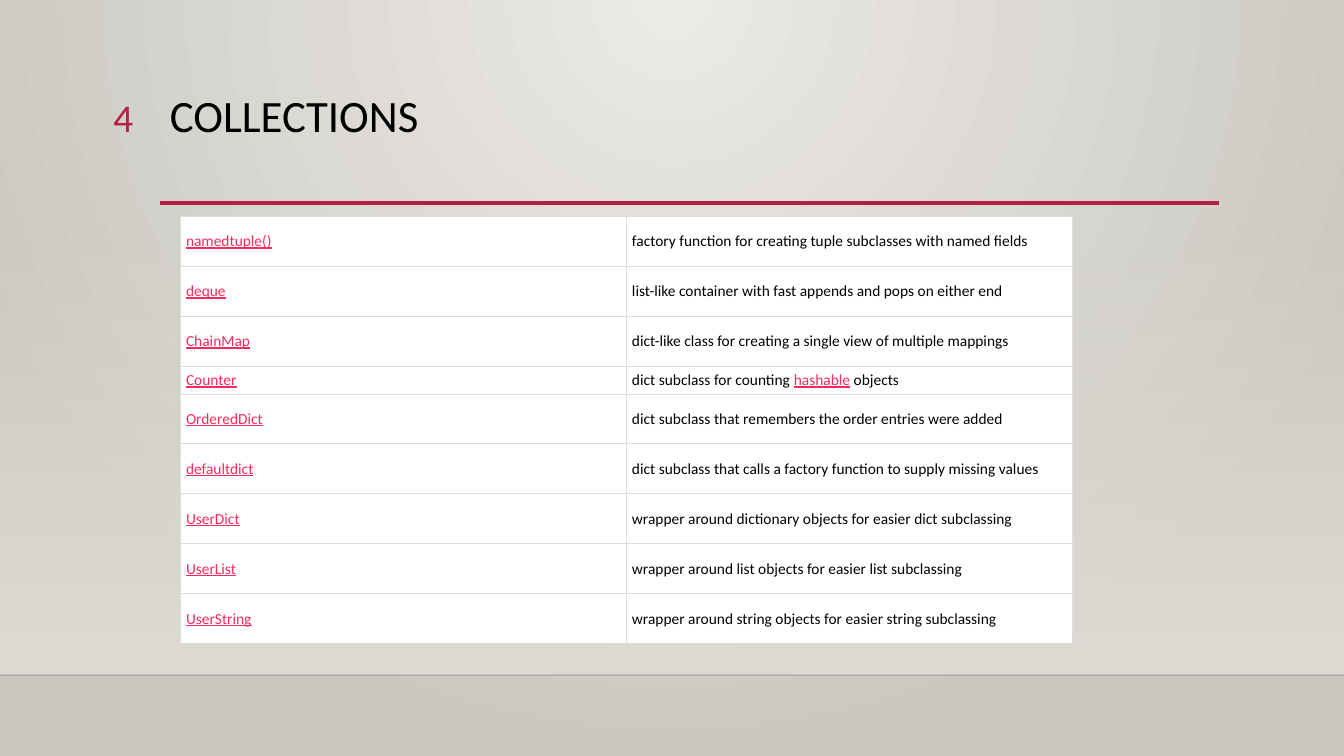
from lxml import etree
from pptx import Presentation
from pptx import util as u
from pptx.dml.color import RGBColor
from pptx.enum import shapes, text
from pptx.oxml import parse_xml
from pptx.oxml.ns import nsdecls, qn

TITLE = "COLLECTIONS"
NUMBER = "4"
ROWS = [
    ("namedtuple()", "factory function for creating tuple subclasses with named fields"),
    ("deque", "list-like container with fast appends and pops on either end"),
    ("ChainMap", "dict-like class for creating a single view of multiple mappings"),
    ("Counter", "dict subclass for counting\u00a0|hashable|\u00a0objects"),
    ("OrderedDict", "dict subclass that remembers the order entries were added"),
    ("defaultdict", "dict subclass that calls a factory function to supply missing values"),
    ("UserDict", "wrapper around dictionary objects for easier dict subclassing"),
    ("UserList", "wrapper around list objects for easier list subclassing"),
    ("UserString", "wrapper around string objects for easier string subclassing"),
]

BLACK = RGBColor(0x00, 0x00, 0x00)
WHITE = RGBColor(0xFF, 0xFF, 0xFF)
CRIMSON = RGBColor(0xB7, 0x1E, 0x42)
LINK = RGBColor(0xFA, 0x2B, 0x5C)
GRID = RGBColor(0xDD, 0xDD, 0xDD)
SAND = RGBColor(0xDF, 0xDB, 0xD5)
GLOW = RGBColor(0xEC, 0xEA, 0xE7)
STONE = RGBColor(0xCA, 0xC7, 0xC1)

PIXELS_PER_INCH = 100.8
WIDTH, HEIGHT = 1344, 756
WALL_TOP, FLOOR = 223, 675
ROW_HEIGHT, SHORT_ROW = 50, 28
COLUMN_WIDTH = 446
PLAIN = {"size": u.Pt(11), "color": BLACK, "underline": False}
LINKED = {**PLAIN, "color": LINK, "underline": True}
CELL_FORMAT = {"margin_left": 6, "margin_right": 6, "margin_top": 3, "margin_bottom": 3}
RADIAL = '<a:path path="circle"><a:fillToRect l="43000" r="43000" b="100000"/></a:path>'
DOWNWARD = '<a:lin ang="5400000" scaled="0"/>'


def px(value):
    return u.Inches(value / PIXELS_PER_INCH)


def gradient(first, last, direction, alpha=100):
    return parse_xml(
        f'<a:gradFill {nsdecls("a")} rotWithShape="1"><a:gsLst>'
        f'<a:gs pos="0"><a:srgbClr val="{first}"><a:alpha val="{alpha * 1000}"/></a:srgbClr></a:gs>'
        f'<a:gs pos="100000"><a:srgbClr val="{last}"/></a:gs>'
        f'</a:gsLst>{direction}</a:gradFill>')


def add_span(para, words, style):
    span = para.add_run()
    span.text = words
    span.font.name = "Calibri"
    for name, value in style.items():
        if name == "color":
            span.font.color.rgb = value
        else:
            setattr(span.font, name, value)


def add_text(page, bounds, words, style, **layout):
    box = page.shapes.add_textbox(*map(px, bounds))
    box.text_frame.word_wrap = True
    para = box.text_frame.paragraphs[0]
    for name, value in layout.items():
        setattr(para, name, value)
    add_span(para, words, style)


def add_rule(page, left, right, top, color, width, alpha=100):
    rule = page.shapes.add_connector(
        shapes.MSO_CONNECTOR.STRAIGHT, px(left), px(top), px(right), px(top))
    rule.line.color.rgb = color
    rule.line.width = u.Pt(width)
    paint = rule._element.spPr.find(".//" + qn("a:srgbClr"))
    etree.SubElement(paint, qn("a:alpha")).set("val", str(alpha * 1000))
    etree.SubElement(rule._element.spPr, qn("a:effectLst"))


def add_borders(cell):
    for position, side in enumerate(("lnL", "lnR", "lnT", "lnB")):
        border = parse_xml(
            f'<a:{side} {nsdecls("a")} w="{u.Pt(0.6)}"><a:solidFill>'
            f'<a:srgbClr val="{GRID}"/></a:solidFill></a:{side}>')
        cell._tc.get_or_add_tcPr().insert(position, border)


def fill_cell(cell, words, first_style, second_style):
    cell.fill.solid()
    cell.fill.fore_color.rgb = WHITE
    cell.vertical_anchor = text.MSO_ANCHOR.MIDDLE
    for name, value in CELL_FORMAT.items():
        setattr(cell, name, px(value))
    para = cell.text_frame.paragraphs[0]
    for index, part in enumerate(words.split("|")):
        add_span(para, part, second_style if index % 2 else first_style)
    add_borders(cell)


deck = Presentation()
deck.slide_width, deck.slide_height = px(WIDTH), px(HEIGHT)
page = deck.slides.add_slide(deck.slide_layouts[6])

page.background.fill.solid()
backdrop = page._element.find(".//" + qn("p:bgPr"))
backdrop.replace(backdrop.find(qn("a:solidFill")), gradient(GLOW, STONE, RADIAL))

wall = page.shapes.add_shape(
    shapes.MSO_SHAPE.RECTANGLE, px(0), px(WALL_TOP), px(WIDTH), px(FLOOR - WALL_TOP))
wall.shadow.inherit = False
wall.line.fill.background()
wall.fill.solid()
wall_format = wall._element.spPr
wall_format.replace(wall_format.find(qn("a:solidFill")), gradient(SAND, SAND, DOWNWARD, 0))

add_rule(page, 0, WIDTH, FLOOR, BLACK, 1, 20)
add_rule(page, 160, 1219, 203, CRIMSON, 2.5)
add_text(page, (160, 89, 1058, 116), TITLE,
         {"size": u.Pt(32), "color": BLACK}, line_spacing=0.9)

heights = [SHORT_ROW if name == "Counter" else ROW_HEIGHT for name, _ in ROWS]
frame = page.shapes.add_table(
    len(ROWS), 2, px(180), px(216), px(2 * COLUMN_WIDTH), px(sum(heights)))
table = frame.table
table.first_row = table.horz_banding = False
for column in table.columns:
    column.width = px(COLUMN_WIDTH)
for row, height, (name, summary) in zip(table.rows, heights, ROWS):
    row.height = px(height)
    fill_cell(row.cells[0], name, LINKED, PLAIN)
    fill_cell(row.cells[1], summary, PLAIN, LINKED)

add_text(page, (53, 88, 90, 55), NUMBER,
         {"size": u.Pt(28), "color": CRIMSON}, alignment=text.PP_ALIGN.RIGHT)

deck.save("out.pptx")
